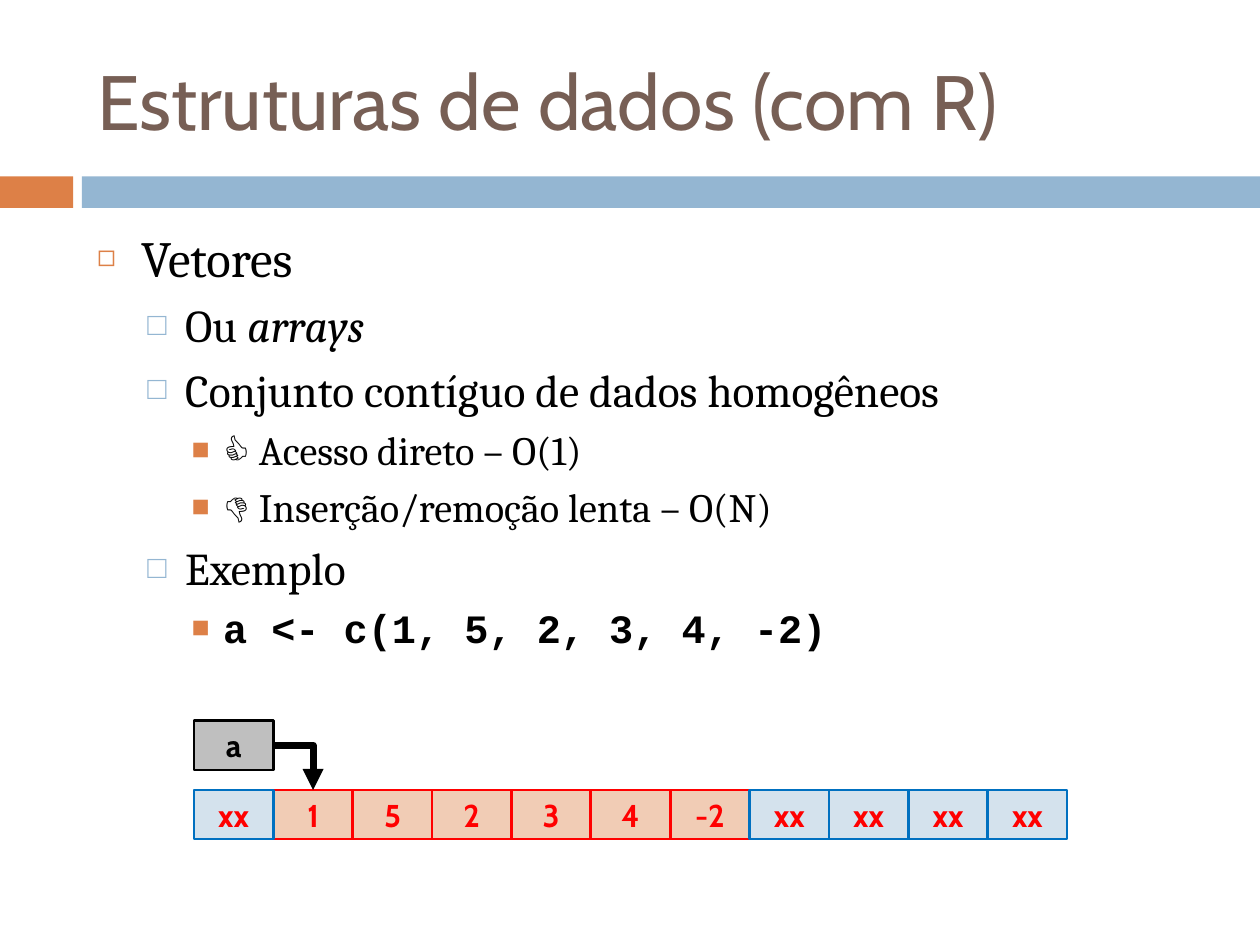
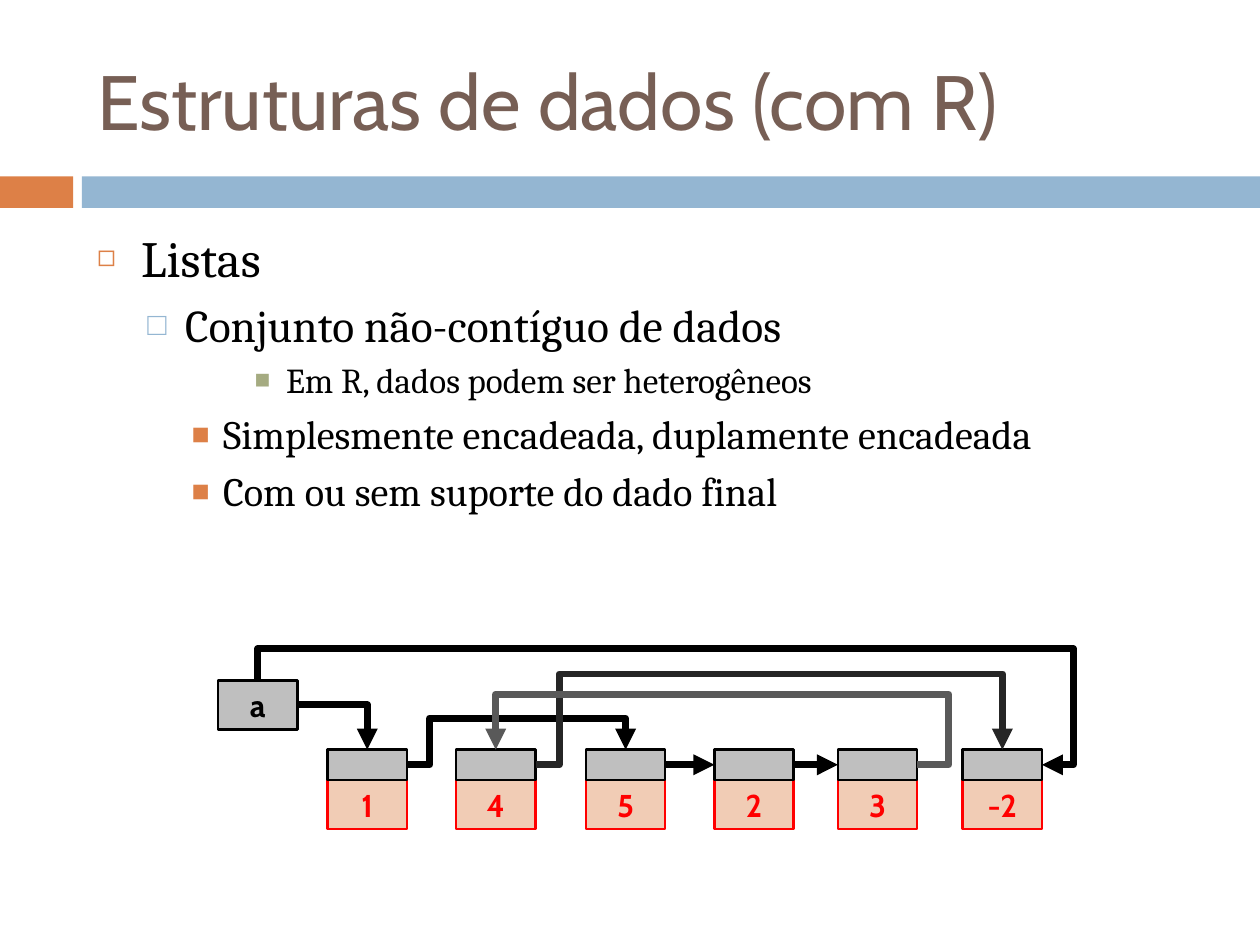
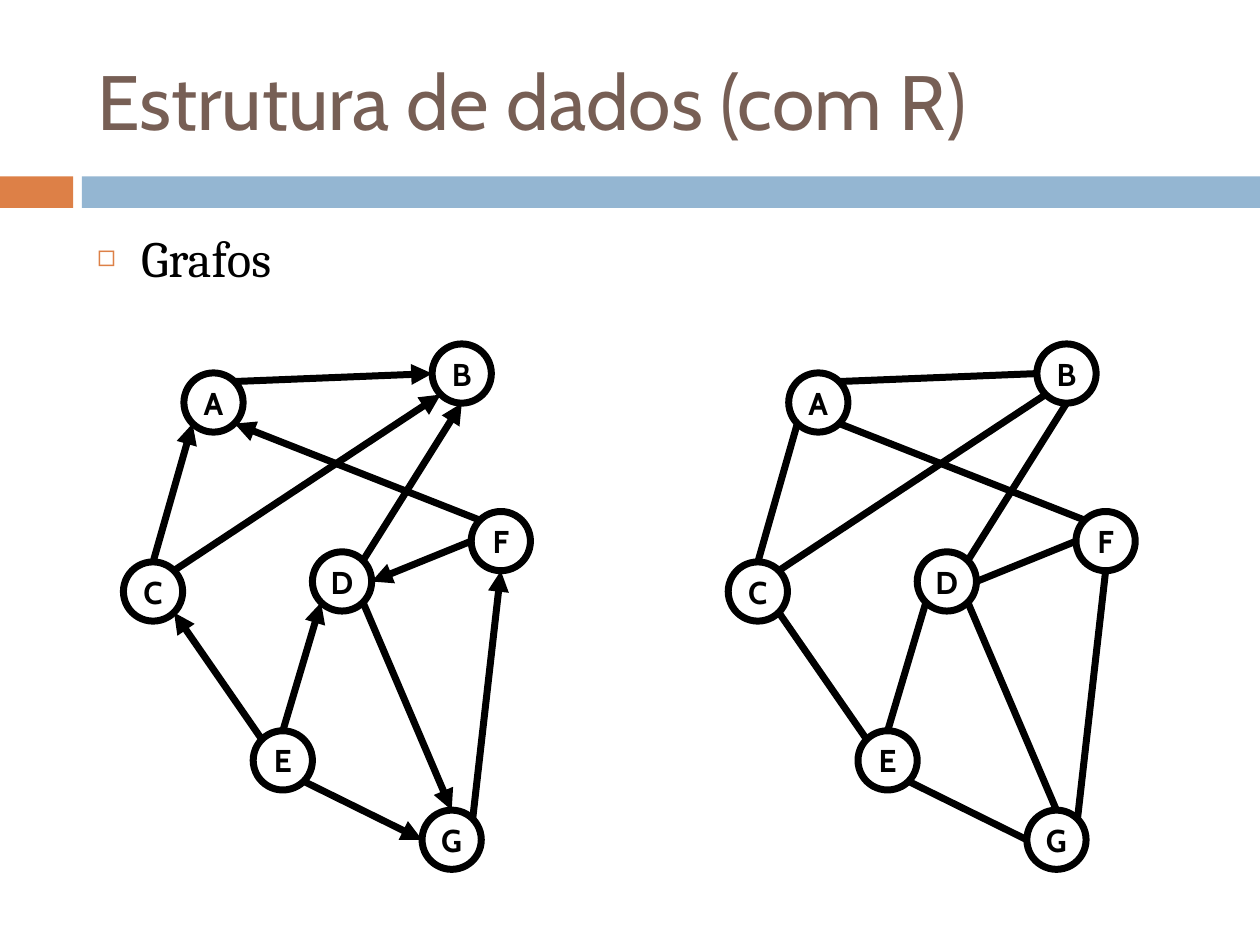
from dataclasses import dataclass

from lxml.etree import SubElement
from pptx import Presentation
from pptx.dml.color import RGBColor
from pptx.enum.shapes import MSO_CONNECTOR, MSO_SHAPE
from pptx.enum.text import MSO_ANCHOR, MSO_AUTO_SIZE, PP_ALIGN
from pptx.oxml.ns import qn
from pptx.util import Inches, Pt

ORANGE = "DD8047"
BLUE = "94B6D2"
GREEN = "A5AB81"
BROWN = "775F55"
BLACK = "000000"
WHITE = "FFFFFF"
GRAY = "BFBFBF"
RED = "FF0000"
PEACH = "F1CCB5"
PALE_BLUE = "D4E2ED"
STRONG_BLUE = "0070C0"

HEADING_FONT = "Cabin"
BODY_FONT = "Cambria"
CODE_FONT = "Courier New"

CELL_WIDTH = 0.63
CELL_HEIGHT = 0.39
POINTER_HEIGHT = 0.24
NODE_SIZE = 0.47
TOP, LEFT, BOTTOM, RIGHT = range(4)


@dataclass
class Level:
    depth: int
    margin: float
    hanging: float
    space: float
    bullet: str
    color: str
    percent: int
    size: int
    font: str = BODY_FONT
    bold: bool = False


LEVELS = {
    0: Level(0, 0.35, 0.35, 7, "◻", ORANGE, 60, 29),
    1: Level(1, 0.7, 0.3, 5.5, "□", BLUE, 70, 26),
    2: Level(2, 1, 0.25, 5, "■", ORANGE, 75, 23),
    3: Level(3, 1.5, 0.25, 4, "■", GREEN, 75, 20),
    "code": Level(2, 1, 0.25, 5, "■", ORANGE, 75, 23, CODE_FONT, True),
}

NODES = {
    "A": (1.46, 2.96), "F": (3.74, 4.06), "C": (0.98, 4.46), "E": (2.01, 5.8),
    "D": (2.48, 4.38), "G": (3.35, 6.43), "B": (3.43, 2.73),
}
EDGES = [
    ("E", "nw", "C", "se"), ("C", "n", "A", "sw"), ("C", "ne", "B", "sw"),
    ("A", "ne", "B", "w"), ("F", "nw", "A", "se"), ("E", "n", "D", "sw"),
    ("D", "ne", "B", "s"), ("D", "se", "G", "n"), ("F", "w", "D", "e"),
    ("G", "ne", "F", "s"), ("E", "se", "G", "w"),
]


def rgb(color):
    return RGBColor.from_string(color)


def place(shape, left, top, width, height):
    shape.left, shape.top = Inches(left), Inches(top)
    shape.width, shape.height = Inches(width), Inches(height)


def rim_point(name, side):
    left, top = NODES[name]
    radius = NODE_SIZE / 2
    reach = radius if len(side) == 1 else radius * 0.71
    across = ("e" in side) - ("w" in side)
    down = ("s" in side) - ("n" in side)
    return left + radius + across * reach, top + radius + down * reach


class Deck:
    def __init__(self):
        self.presentation = Presentation()
        self.presentation.slide_width = Inches(10)
        self.presentation.slide_height = Inches(7.5)
        self.slide = None

    def new_slide(self, title, items):
        layout = self.presentation.slide_layouts[1]
        self.slide = self.presentation.slides.add_slide(layout)
        self.box(0, 1.4, 0.58, 0.25, ORANGE)
        self.box(0.65, 1.4, 9.35, 0.25, BLUE)
        self.title(title)
        self.bullets(items)

    def title(self, text):
        shape = self.slide.shapes.title
        place(shape, 0.67, 0.25, 8.92, 1.08)
        frame = shape.text_frame
        frame.text = text
        frame.auto_size = MSO_AUTO_SIZE.NONE
        frame.vertical_anchor = MSO_ANCHOR.MIDDLE
        frame.paragraphs[0].alignment = PP_ALIGN.LEFT
        self.format_run(frame.paragraphs[0].runs[0], HEADING_FONT, 44, BROWN)

    def bullets(self, items):
        shape = self.slide.placeholders[1]
        place(shape, 0.67, 1.75, 8.92, 5.23)
        frame = shape.text_frame
        frame.auto_size = MSO_AUTO_SIZE.NONE
        for index, (key, text, *italics) in enumerate(items):
            level = LEVELS[key]
            paragraph = frame.add_paragraph() if index else frame.paragraphs[0]
            paragraph.text = text
            self.add_bullet(paragraph, level)
            paragraph.level = level.depth
            paragraph.space_before = Pt(level.space if index else 0)
            for italic in italics:
                run = paragraph.add_run()
                run.text = italic
                run.font.italic = True
            for run in paragraph.runs:
                self.format_run(run, level.font, level.size, BLACK, level.bold)

    def add_bullet(self, paragraph, level):
        properties = paragraph._p.get_or_add_pPr()
        properties.set("marL", str(Inches(level.margin)))
        properties.set("indent", str(-Inches(level.hanging)))
        color = SubElement(properties, qn("a:buClr"))
        SubElement(color, qn("a:srgbClr"), val=level.color)
        SubElement(properties, qn("a:buSzPct"), val=str(level.percent * 1000))
        SubElement(properties, qn("a:buChar"), char=level.bullet)

    def format_run(self, run, font, size, color, bold=False):
        run.font.name = font
        run.font.size = Pt(size)
        run.font.bold = bold
        run.font.color.rgb = rgb(color)

    def box(self, left, top, width, height, fill, line=None, text="",
            color=BLACK, kind=MSO_SHAPE.RECTANGLE, weight=1.5):
        shape = self.slide.shapes.add_shape(
            kind, Inches(left), Inches(top), Inches(width), Inches(height))
        shape.shadow.inherit = False
        shape.fill.solid()
        shape.fill.fore_color.rgb = rgb(fill)
        if line:
            shape.line.color.rgb = rgb(line)
            shape.line.width = Pt(weight)
        else:
            shape.line.fill.background()
        if text:
            frame = shape.text_frame
            frame.text = text
            frame.margin_left = frame.margin_right = 0
            frame.margin_top = frame.margin_bottom = 0
            frame.vertical_anchor = MSO_ANCHOR.MIDDLE
            paragraph = frame.paragraphs[0]
            paragraph.alignment = PP_ALIGN.CENTER
            self.format_run(paragraph.runs[0], HEADING_FONT, 18, color, True)
        return shape

    def cell(self, left, top, text, fill=PEACH, line=RED, color=RED):
        return self.box(left, top, CELL_WIDTH, CELL_HEIGHT, fill, line, text, color)

    def variable(self, left, top):
        return self.cell(left, top, "a", GRAY, BLACK, BLACK)

    def node(self, left, top, text):
        self.box(left, top, NODE_SIZE, NODE_SIZE, WHITE, BLACK, text,
                 kind=MSO_SHAPE.OVAL, weight=4)

    def line(self, start, end, kind=MSO_CONNECTOR.STRAIGHT, color=BLACK, arrow=True):
        connector = self.slide.shapes.add_connector(
            kind, *(Inches(value) for value in (*start, *end)))
        connector.line.color.rgb = rgb(color)
        connector.line.width = Pt(4)
        if arrow:
            SubElement(connector.line._get_or_add_ln(), qn("a:tailEnd"), type="triangle")
        SubElement(connector._element.spPr, qn("a:effectLst"))
        return connector

    def link(self, source, source_side, target, target_side,
             kind=MSO_CONNECTOR.STRAIGHT, color=BLACK):
        connector = self.line((0, 0), (0, 0), kind, color)
        connector.begin_connect(source, source_side)
        connector.end_connect(target, target_side)
        return connector

    def corner(self, source, target):
        connector = self.link(source, RIGHT, target, TOP, MSO_CONNECTOR.ELBOW)
        connector._element.spPr.prstGeom.set("prst", "bentConnector2")

    def detour(self, source, source_side, target, target_side, via, color=BLACK):
        connector = self.link(source, source_side, target, target_side,
                              MSO_CONNECTOR.ELBOW, color)
        width = connector.end_x - connector.begin_x
        height = connector.end_y - connector.begin_y
        bends = [(Inches(via[0]) - connector.begin_x) / width,
                 (Inches(via[1]) - connector.begin_y) / height]
        if source_side == TOP:
            bends.reverse()
            self.turn_upright(connector)
        geometry = connector._element.spPr.prstGeom
        geometry.set("prst", "bentConnector4")
        guides = geometry.get_or_add_avLst()
        for number, bend in enumerate(bends, 1):
            SubElement(guides, qn("a:gd"), name=f"adj{number}",
                       fmla=f"val {round(bend * 100000)}")

    def turn_upright(self, connector):
        width, height = connector.width, connector.height
        shift = (width - height) // 2
        connector.left, connector.top = connector.left + shift, connector.top - shift
        connector.width, connector.height = height, width
        transform = connector._element.spPr.xfrm
        transform.set("rot", str(270 * 60000))
        transform.set("flipH", "1")

    def graph(self, offset, directed):
        for name, (left, top) in NODES.items():
            self.node(left + offset, top, name)
        for source, source_side, target, target_side in EDGES:
            ends = [(x + offset, y) for x, y in (
                rim_point(source, source_side), rim_point(target, target_side))]
            self.line(*ends, arrow=directed)


def add_vectors(deck):
    deck.new_slide("Estruturas de dados (com R)", [
        (0, "Vetores"),
        (1, "Ou ", "arrays"),
        (1, "Conjunto contíguo de dados homogêneos"),
        (2, "👍 Acesso direto – O(1)"),
        (2, "👎 Inserção/remoção lenta – O(N)"),
        (1, "Exemplo"),
        ("code", "a <- c(1, 5, 2, 3, 4, -2)"),
    ])
    left, top = 1.54, 6.27
    values = ["1", "5", "2", "3", "4", "-2"]
    cells = [deck.cell(left + position * CELL_WIDTH, top, value)
             for position, value in enumerate(values, 1)]
    for position in (0, 7, 8, 9, 10):
        deck.cell(left + position * CELL_WIDTH, top, "xx", PALE_BLUE, STRONG_BLUE)
    deck.corner(deck.variable(left, 5.72), cells[0])


def add_lists(deck):
    deck.new_slide("Estruturas de dados (com R)", [
        (0, "Listas"),
        (1, "Conjunto não-contíguo de dados"),
        (3, "Em R, dados podem ser heterogêneos"),
        (2, "Simplesmente encadeada, duplamente encadeada"),
        (2, "Com ou sem suporte do dado final"),
    ])
    lefts = {"1": 2.6, "4": 3.62, "5": 4.65, "2": 5.67, "3": 6.65, "-2": 7.64}
    for value, left in lefts.items():
        deck.cell(left, 6.19, value)
    pointers = {value: deck.box(left, 5.95, CELL_WIDTH, POINTER_HEIGHT, GRAY, BLACK)
                for value, left in lefts.items()}
    variable = deck.variable(1.73, 5.4)
    deck.corner(variable, pointers["1"])
    deck.detour(pointers["1"], RIGHT, pointers["5"], TOP, (3.41, 5.7))
    deck.link(pointers["5"], RIGHT, pointers["2"], LEFT)
    deck.link(pointers["2"], RIGHT, pointers["3"], LEFT)
    deck.detour(pointers["4"], RIGHT, pointers["-2"], TOP, (4.44, 5.35), "262626")
    deck.detour(variable, TOP, pointers["-2"], RIGHT, (8.52, 5.15))
    deck.detour(pointers["3"], RIGHT, pointers["4"], TOP, (7.53, 5.51), "595959")


def add_graphs(deck):
    deck.new_slide("Estrutura de dados (com R)", [(0, "Grafos")])
    deck.graph(0, True)
    deck.graph(4.8, False)


def main():
    deck = Deck()
    add_vectors(deck)
    add_lists(deck)
    add_graphs(deck)
    deck.presentation.save("out.pptx")


if __name__ == "__main__":
    main()
